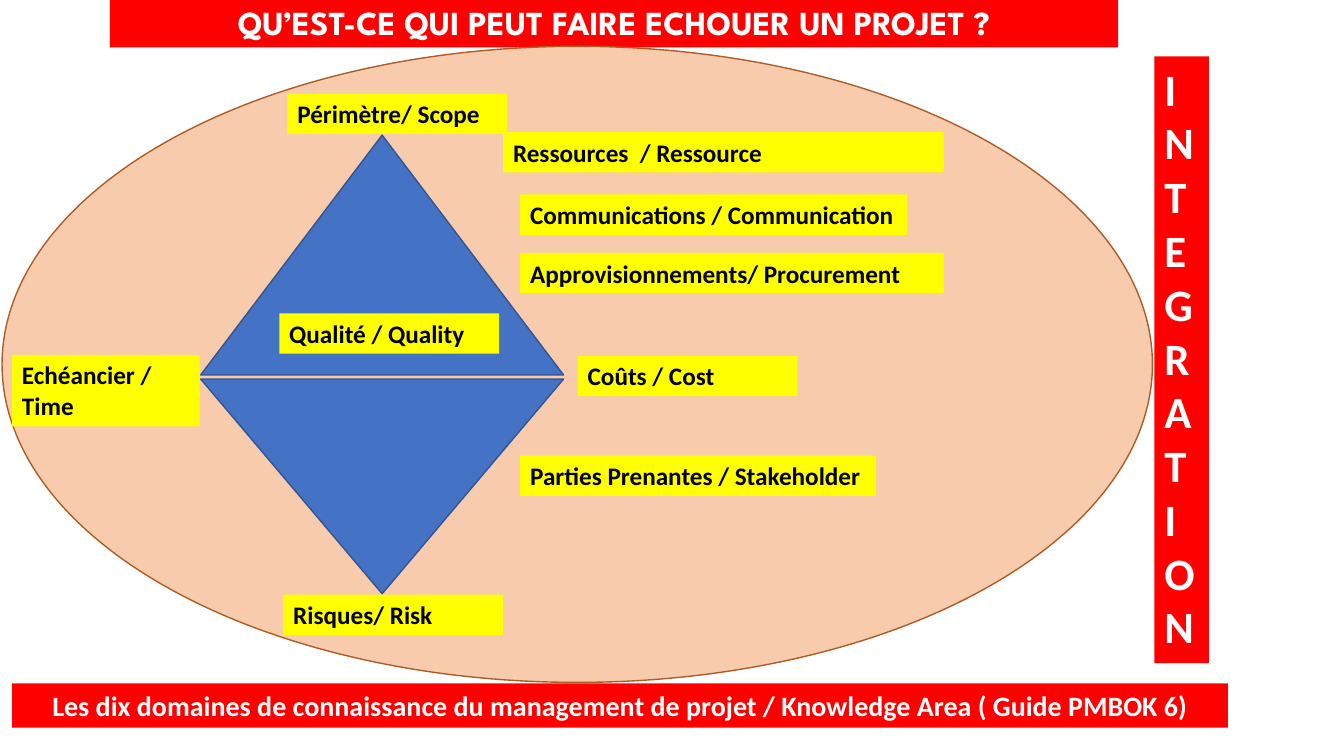
"""Build the slide on the ten knowledge areas of project management."""
from pptx import Presentation
from pptx.dml.color import RGBColor
from pptx.enum.shapes import MSO_SHAPE as SHAPE
from pptx.enum.text import MSO_ANCHOR as ANCHOR, MSO_AUTO_SIZE as AUTO, PP_ALIGN as ALIGN
from pptx.util import Inches, Pt

RED, YELLOW, BLUE, PEACH = "FF0000", "FFFF00", "4472C4", "F8CBAD"
WHITE, BLACK = "FFFFFF", "000000"

prs = Presentation()
prs.slide_width, prs.slide_height = Inches(13.33), Inches(7.5)
COL, ROW = prs.slide_width / 133.3, prs.slide_height / 75
s = prs.slides.add_slide(prs.slide_layouts[5])


def place(sp, x, y, w, h, fill, line=None):
    """Put a shape on the grid and colour it."""
    sp.left, sp.top, sp.width, sp.height = int(x * COL), int(y * ROW), int(w * COL), int(h * ROW)
    sp.fill.solid()
    sp.fill.fore_color.rgb = RGBColor.from_string(fill)
    if line:
        sp.shadow.inherit = False
        sp.line.color.rgb = RGBColor.from_string(line)
        sp.line.width = Pt(1)
    return sp


def write(sp, text, size=18, color=BLACK, font="Calibri", align=ALIGN.LEFT,
          auto=AUTO.SHAPE_TO_FIT_TEXT, anchor=ANCHOR.TOP, spacing=1.0):
    """Fill a shape with bold text, one paragraph per line."""
    tf = sp.text_frame
    tf.text = text
    tf.word_wrap, tf.auto_size, tf.vertical_anchor = True, auto, anchor
    for p in tf.paragraphs:
        p.alignment, p.line_spacing = align, spacing
        for r in p.runs:
            r.font.name, r.font.size, r.font.bold = font, Pt(size), True
            r.font.color.rgb = RGBColor.from_string(color)


title = place(s.shapes.title, 10.9, 0, 100, 4.7, RED)
write(title, "QU’EST-CE QUI PEUT FAIRE ECHOUER UN PROJET ?", size=24, color=WHITE,
      font="League Spartan", align=ALIGN.CENTER, auto=AUTO.NONE, anchor=ANCHOR.BOTTOM, spacing=0.9)

for kind, x, y, w, h, fill, line, turn in [
    (SHAPE.OVAL, 0.2, 4.6, 114.1, 63.1, PEACH, "AF5C24", 0),
    (SHAPE.ISOSCELES_TRIANGLE, 19.9, 13.4, 36, 23.8, BLUE, "325491", 0),
    (SHAPE.ISOSCELES_TRIANGLE, 19.9, 37.6, 36, 21.3, BLUE, "325491", 180),
]:
    sp = place(s.shapes.add_shape(kind, 0, 0, 0, 0), x, y, w, h, fill, line)
    sp.rotation = turn

for text, x, y, w, h in [
    ("Périmètre/ Scope", 28.5, 9.3, 21.8, 4),
    ("Echéancier / Time", 1.2, 35.2, 18.6, 7.1),
    ("Coûts / Cost", 57.3, 35.3, 21.8, 4),
    ("Qualité / Quality", 27.7, 31.1, 21.8, 4),
    ("Risques/ Risk", 28.1, 59, 21.8, 4),
    ("Ressources  / Ressource", 49.9, 13.1, 43.7, 4),
    ("Communications / Communication", 51.6, 19.3, 38.4, 4),
    ("Approvisionnements/ Procurement", 51.6, 25.1, 42, 4),
    ("Parties Prenantes / Stakeholder", 51.6, 45.2, 35.3, 4),
]:
    write(place(s.shapes.add_textbox(0, 0, 0, 0), x, y, w, h, YELLOW), text)

side = place(s.shapes.add_textbox(0, 0, 0, 0), 114.5, 5.6, 5.4, 60.2, RED)
write(side, "\n".join("INTEGRATION"), size=32, color=WHITE)

footer = place(s.shapes.add_textbox(0, 0, 0, 0), 1.2, 67.8, 120.6, 4.4, RED)
write(footer, "Les dix domaines de connaissance du management de projet / Knowledge Area ( Guide PMBOK 6)",
      size=20, color=WHITE, align=ALIGN.CENTER)

prs.save("out.pptx")
